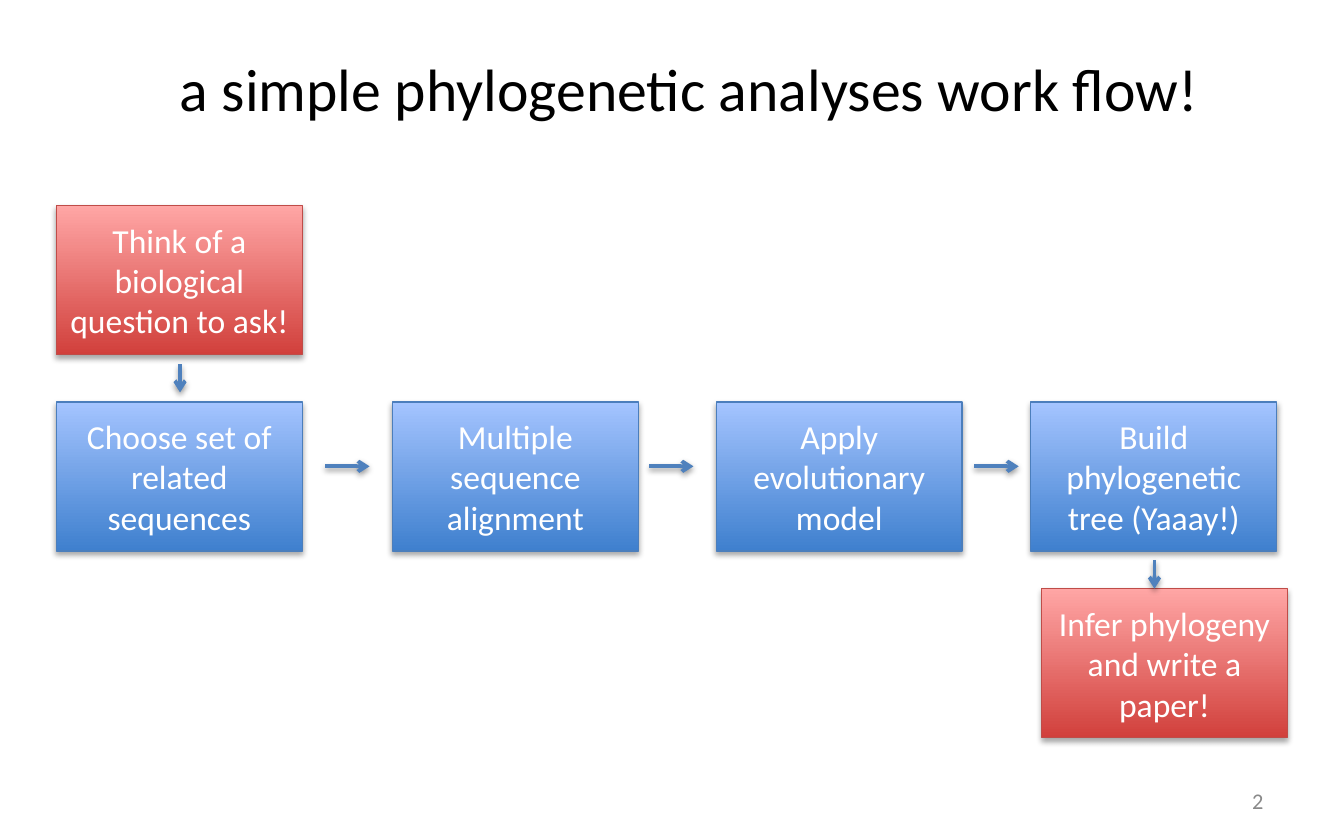
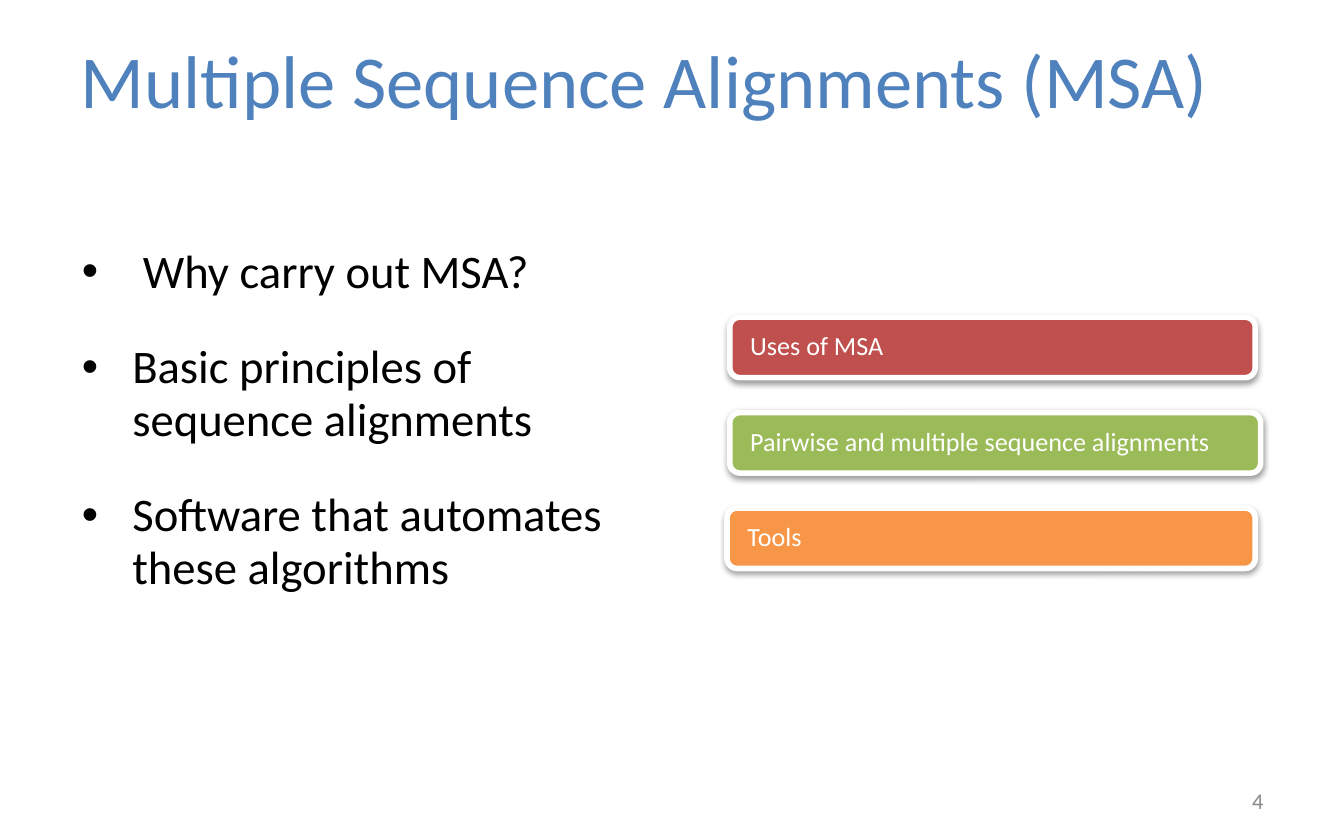
from pptx import Presentation
from pptx.dml.color import RGBColor
from pptx.enum.shapes import MSO_CONNECTOR as Conn, MSO_SHAPE as Kind
from pptx.enum.text import MSO_ANCHOR as Anchor, MSO_AUTO_SIZE as Auto, PP_ALIGN as Align
from pptx.oxml.ns import qn
from pptx.util import Inches, Pt
from lxml.etree import SubElement

FONT = "Calibri"
HUES = {
    "text": "000000", "white": "FFFFFF", "accent": "4F81BD", "page": "898989",
    "red": "C0504D", "green": "9BBB59", "orange": "F79646",
}
# Step styles: gradient bottom, gradient top, outline
STEPS = {
    "blue": ("3F80CE", "A4C4FF", "4B7EBC"),
    "red": ("D1403C", "FFA6A5", "BF4C48"),
}


def rgb(name):
    return RGBColor.from_string(HUES.get(name, name))


def place(shape, box):
    shape.left, shape.top, shape.width, shape.height = map(Inches, box)


def write(para, text, size, hue, align=Align.LEFT):
    para.alignment = align
    run = para.add_run()
    run.text = text
    run.font.name, run.font.size = FONT, Pt(size)
    run.font.color.rgb = rgb(hue)


def shade(shape, alpha, drop):
    """Cast a soft shadow straight down; call after the line is set."""
    glow = SubElement(shape._element.spPr, qn("a:effectLst"))
    outer = SubElement(glow, qn("a:outerShdw"), blurRad=str(Pt(3.1)),
                       dist=str(Pt(drop)), dir="5400000", rotWithShape="0")
    tint = SubElement(outer, qn("a:srgbClr"), val=HUES["text"])
    SubElement(tint, qn("a:alpha"), val=str(alpha * 1000))


# Shared title and page number
def head(slide, box, text, size, hue, align):
    title = slide.shapes.title
    place(title, box)
    frame = title.text_frame
    frame.word_wrap, frame.auto_size = True, Auto.NONE
    frame.vertical_anchor = Anchor.MIDDLE
    write(frame.paragraphs[0], text, size, hue, align)


def page(slide, num):
    box = map(Inches, (7.17, 5.79, 2.33, 0.33))
    frame = slide.shapes.add_textbox(*box).text_frame
    frame.word_wrap, frame.vertical_anchor = True, Anchor.MIDDLE
    write(frame.paragraphs[0], str(num), 12, "page", Align.RIGHT)


# Work flow parts
def step(slide, left, top, text, style):
    low, high, edge = STEPS[style]
    shape = slide.shapes.add_shape(Kind.RECTANGLE, 0, 0, 0, 0)
    place(shape, (left, top, 1.83, 1.11))
    shape.fill.gradient()
    shape.fill.gradient_angle = 90
    for stop, hue, pos in zip(shape.fill.gradient_stops, (low, high), (0, 1)):
        stop.color.rgb, stop.position = rgb(hue), pos
    shape.line.color.rgb, shape.line.width = rgb(edge), Pt(0.75)
    shade(shape, 35, 1.8)
    frame = shape.text_frame
    frame.word_wrap, frame.vertical_anchor = True, Anchor.MIDDLE
    write(frame.paragraphs[0], text, 18, "white", Align.CENTER)


def arrow(slide, left, top, across=0, down=0):
    ends = map(Inches, (left, top, left + across, top + down))
    line = slide.shapes.add_connector(Conn.STRAIGHT, *ends)
    line.line.color.rgb, line.line.width = rgb("accent"), Pt(2)
    SubElement(line.line._get_or_add_ln(), qn("a:tailEnd"), type="arrow")
    shade(line, 38, 1.6)


def flow(slide, left, top):
    # Main row
    row = [
        (0, "Choose set of related sequences"),
        (2.5, "Multiple sequence alignment"),
        (4.91, "Apply evolutionary model"),
        (7.25, "Build phylogenetic tree (Yaaay!)"),
    ]
    for shift, text in row:
        step(slide, left + shift, top, text, "blue")
    # First and last steps
    step(slide, left + 7.33, top + 1.39, "Infer phylogeny and write a paper!", "red")
    step(slide, left, top - 1.46, "Think of a biological question to ask!", "red")
    # Arrows
    for shift in (2, 4.41, 6.83):
        arrow(slide, left + shift, top + 0.48, across=0.33)
    for shift, rise in ((0.92, -0.28), (8.17, 1.18)):
        arrow(slide, left + shift, top + rise, down=0.21)


# Topic parts
def points(slide, box, texts):
    body = slide.placeholders[1]
    place(body, box)
    frame = body.text_frame
    frame.word_wrap, frame.auto_size = True, Auto.NONE
    for i, text in enumerate(texts):
        para = frame.add_paragraph() if i else frame.paragraphs[0]
        para.line_spacing = 0.94
        para.space_before, para.space_after = Pt(5), Pt(18)
        write(para, text, 25, "text")


def bars(slide, left, top, items):
    for i, (shift, width, hue, text) in enumerate(items):
        bar = slide.shapes.add_shape(Kind.ROUNDED_RECTANGLE, 0, 0, 0, 0)
        place(bar, (left + shift, top + i * 0.71, width, 0.45))
        bar.fill.solid()
        bar.fill.fore_color.rgb = rgb(hue)
        bar.line.color.rgb, bar.line.width = rgb("white"), Pt(3)
        shade(bar, 38, 1.6)
        frame = bar.text_frame
        frame.word_wrap, frame.vertical_anchor = True, Anchor.MIDDLE
        frame.margin_left = frame.margin_right = Inches(0.13)
        frame.margin_top = frame.margin_bottom = 0
        frame.paragraphs[0].line_spacing = 0.9
        write(frame.paragraphs[0], text, 14, "white")


def plan(deck):
    slide = deck.slides.add_slide(deck.slide_layouts[5])
    flow(slide, 0.42, 2.99)
    head(slide, (0.67, 0.19, 8.92, 0.92),
         "a simple phylogenetic analyses work flow!", 32, "text", Align.CENTER)
    page(slide, 2)


def topics(deck):
    slide = deck.slides.add_slide(deck.slide_layouts[1])
    head(slide, (0.5, 0.14, 9, 0.89),
         "Multiple Sequence Alignments (MSA)", 40, "accent", Align.LEFT)
    points(slide, (0.51, 1.78, 4.42, 3.09), [
        " Why carry out MSA?",
        "Basic principles of sequence alignments",
        "Software that automates these algorithms",
    ])
    bars(slide, 5.41, 2.36, [
        (0.02, 3.91, "red", "Uses of MSA"),
        (0.02, 3.95, "green", "Pairwise and multiple sequence alignments"),
        (0, 3.93, "orange", "Tools"),
    ])
    page(slide, 4)


def main():
    deck = Presentation()
    deck.slide_width, deck.slide_height = Inches(10), Inches(6.25)
    plan(deck)
    topics(deck)
    deck.save("out.pptx")


if __name__ == "__main__":
    main()
